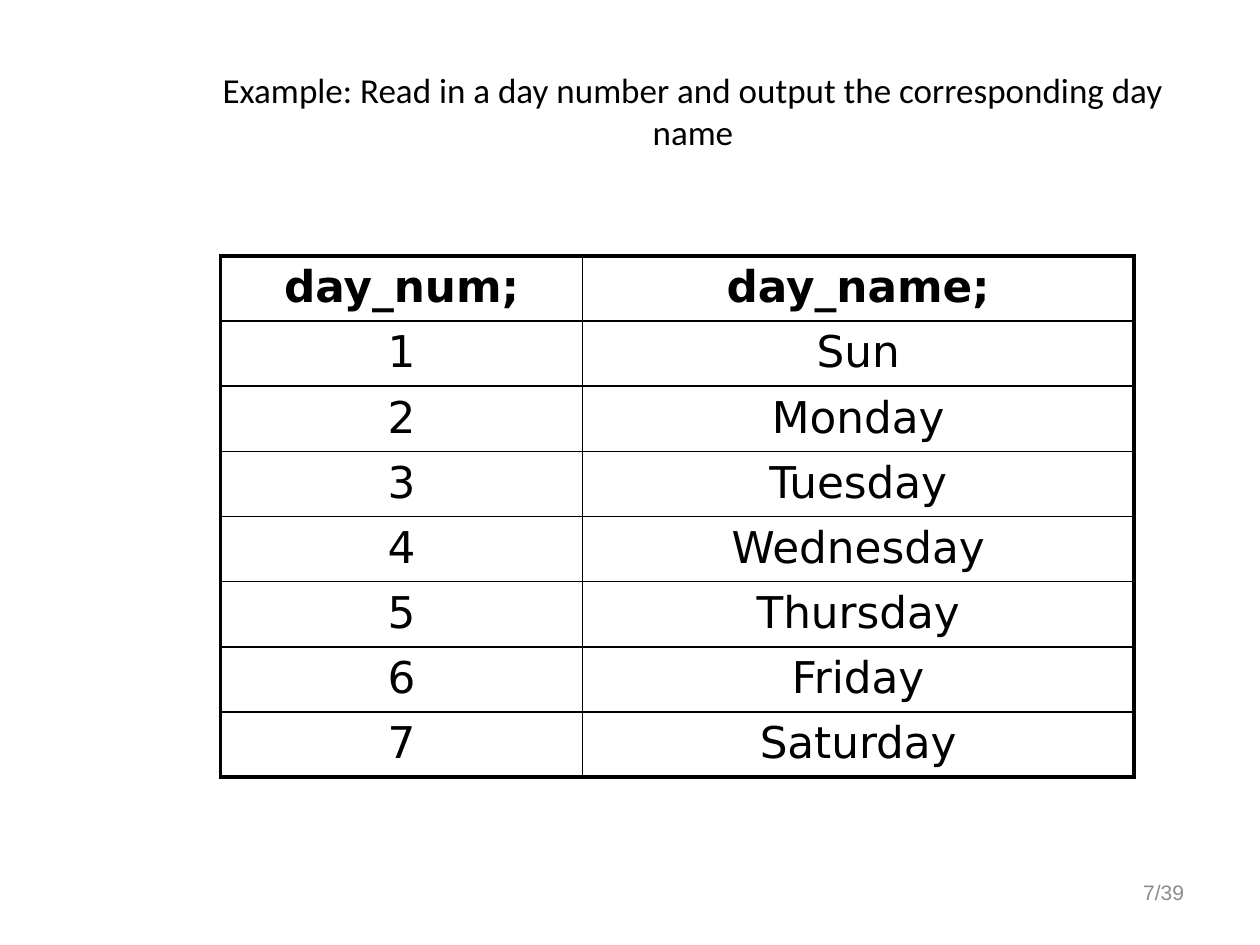
from lxml import etree
from pptx import Presentation
from pptx.dml.color import RGBColor
from pptx.enum.text import MSO_ANCHOR, PP_ALIGN
from pptx.oxml.ns import qn
from pptx.util import Cm, Pt

CENTER, RIGHT = PP_ALIGN.CENTER, PP_ALIGN.RIGHT
MIDDLE, TOP = MSO_ANCHOR.MIDDLE, MSO_ANCHOR.TOP

THEME = {
    "ink": "000000", "muted": "8C8C8C", "paper": "FFFFFF",
    "title_font": "Calibri", "table_font": "DejaVu Sans", "number_font": "Arial",
    "title_size": 20, "table_size": 25, "number_size": 12,
    "outer_line": 2.25, "inner_line": 1,
}


def write(frame, text, font, size, color=THEME["ink"], align=CENTER, anchor=MIDDLE, bold=False):
    frame.word_wrap = True
    frame.vertical_anchor = anchor
    paragraph = frame.paragraphs[0]
    paragraph.alignment = align
    run = paragraph.add_run()
    run.text = text
    run.font.name = font
    run.font.size = Pt(size)
    run.font.bold = bold
    run.font.color.rgb = RGBColor.from_string(color)


def draw_borders(cell, widths):
    properties = cell._tc.get_or_add_tcPr()
    for index, (side, width) in enumerate(widths.items()):
        line = etree.Element(qn(f"a:ln{side}"), w=str(Pt(width)))
        fill = etree.SubElement(line, qn("a:solidFill"))
        etree.SubElement(fill, qn("a:srgbClr"), val=THEME["ink"])
        properties.insert(index, line)


deck = Presentation()
deck.slide_width, deck.slide_height = Cm(25.4), Cm(19.05)
slide = deck.slides.add_slide(deck.slide_layouts[6])
slide.background.fill.solid()
slide.background.fill.fore_color.rgb = RGBColor.from_string(THEME["paper"])

page_number = slide.shapes.add_textbox(Cm(18.2), Cm(17.35), Cm(5.92), Cm(1.27))
write(page_number.text_frame, "7/39", THEME["number_font"], THEME["number_size"],
      color=THEME["muted"], align=RIGHT)

title = slide.shapes.add_textbox(Cm(3.81), Cm(0.64), Cm(24.13 - 3.81), Cm(3.18))
write(title.text_frame, "Example: Read in a day number and output the corresponding day name",
      THEME["title_font"], THEME["title_size"])

day_names = ["Sun", "Monday", "Tuesday", "Wednesday", "Thursday", "Friday", "Saturday"]
day_rows = [("day_num;", "day_name;")]
day_rows += [(str(number), name) for number, name in enumerate(day_names, start=1)]
column_widths = [7.29, 11.12]
row_height = 1.28
last_row, last_column = len(day_rows) - 1, len(column_widths) - 1

days = slide.shapes.add_table(
    len(day_rows), len(column_widths), Cm(4.45), Cm(5.16),
    Cm(sum(column_widths)), Cm(row_height * len(day_rows))).table
days.first_row = days.horz_banding = False
for column, width in zip(days.columns, column_widths):
    column.width = Cm(width)

for row, values in enumerate(day_rows):
    days.rows[row].height = Cm(row_height)
    for column, value in enumerate(values):
        cell = days.cell(row, column)
        cell.fill.background()
        write(cell.text_frame, value, THEME["table_font"], THEME["table_size"],
              anchor=TOP, bold=row == 0)
        on_edge = {"L": column == 0, "R": column == last_column,
                   "T": row == 0, "B": row == last_row}
        draw_borders(cell, {side: THEME["outer_line"] if edge else THEME["inner_line"]
                            for side, edge in on_edge.items()})

deck.save("out.pptx")
